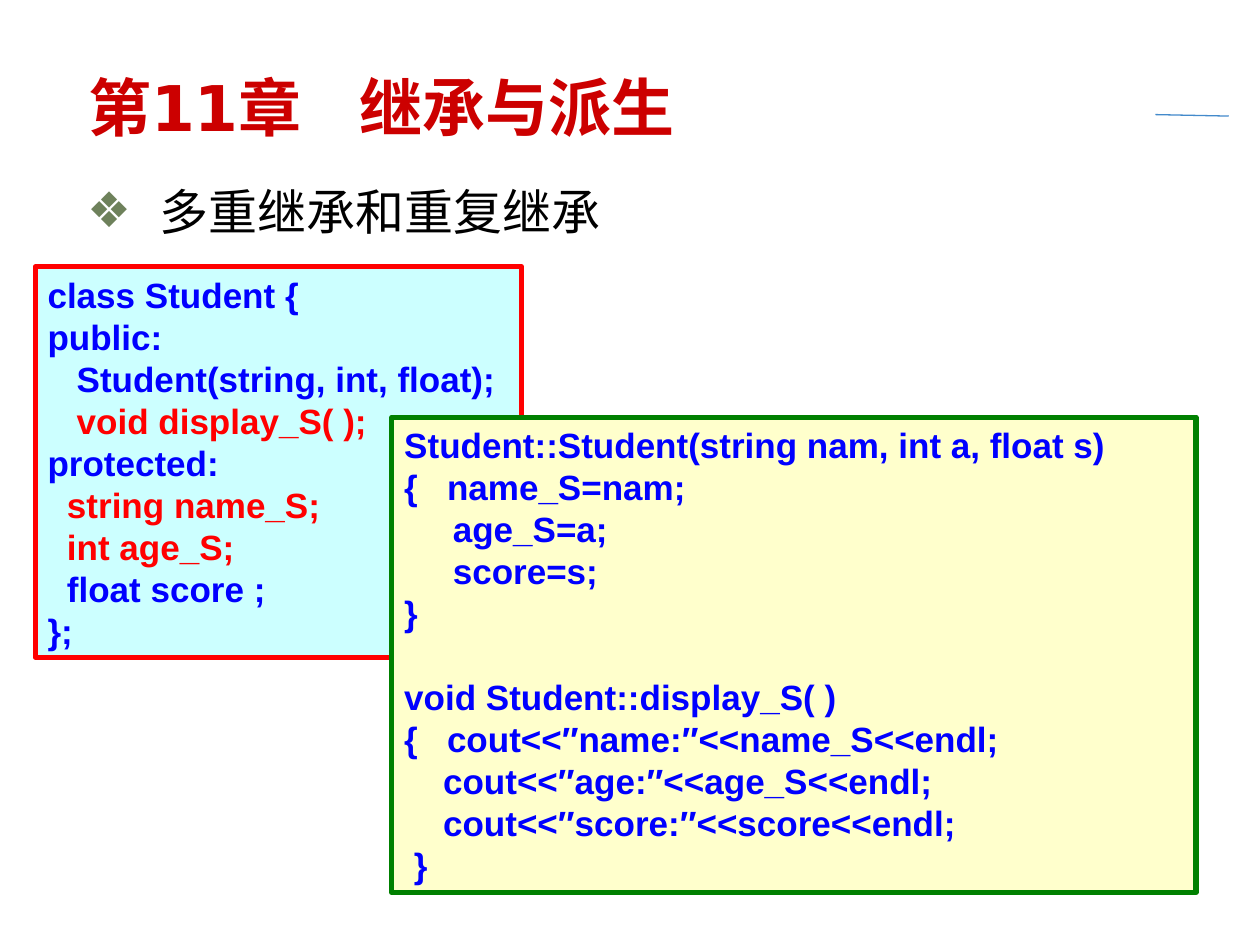
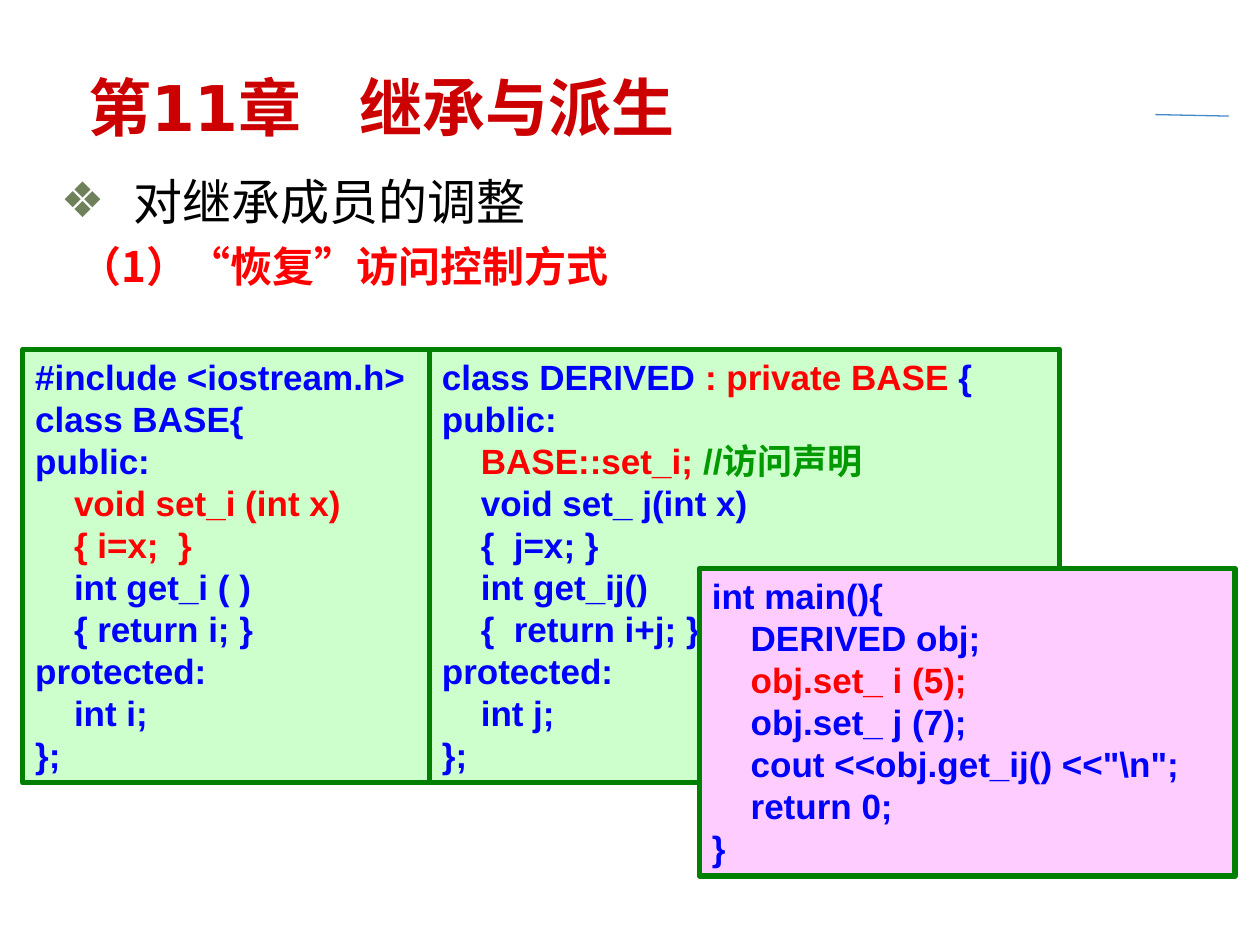
from lxml import etree
from pptx import Presentation
from pptx import util as u
from pptx.dml.color import RGBColor
from pptx.enum import shapes, text
from pptx.oxml.ns import qn

C = {"title": "CC0000", "rule": "438ACB", "bullet": "6E815B", "black": "000000",
     "code": "0000FF", "red": "FF0000", "comment": "009900", "green": "008000",
     "cyan": "CCFFFF", "yellow": "FFFFCC", "mint": "CCFFCC", "pink": "FFCCFF"}
CJK = "Noto Sans CJK SC"
BULLET_INDENT = u.Cm(1.47)
CODE_PITCH = u.Pt(24)


def add_run(p, tx, size, font, color, bold=False):
    r = p.add_run()
    r.text = tx
    r.font.size, r.font.name, r.font.bold = u.Pt(size), font, bold
    r.font.color.rgb = RGBColor.from_string(C[color])
    etree.SubElement(r.font._element, qn("a:ea"), typeface=CJK)


def place(sp, left, top, width, height):
    sp.left, sp.top, sp.width, sp.height = map(u.Cm, (left, top, width, height))


# Code listings: a line is a string, or a list of (text, colour) pieces;
# an empty string opens a gap above the next line
student_class = [
    "class Student {",
    "public:",
    "   Student(string, int, float);",
    [("   void display_S( );", "red")],
    "protected:",
    [("  string name_S;", "red")],
    [("  int age_S;", "red")],
    "  float score ;",
    "};",
]
student_members = [
    "Student::Student(string nam, int a, float s)",
    "{   name_S=nam;",
    "     age_S=a;",
    "     score=s;",
    "}",
    "",
    "void Student::display_S( )",
    "{   cout<<″name:″<<name_S<<endl;",
    "    cout<<″age:″<<age_S<<endl;",
    "    cout<<″score:″<<score<<endl;",
    " }",
]
base_class = [
    "#include <iostream.h>",
    "class BASE{",
    "public:",
    [("    void set_i (int x)", "red")],
    [("    { i=x;  }", "red")],
    "    int get_i ( )",
    "    { return i; }",
    "protected:",
    "    int i;",
    "};",
]
derived_class = [
    [("class DERIVED ", "code"), (": private BASE ", "red"), ("{", "code")],
    "public:",
    [("    BASE::set_i; ", "red"), ("//访问声明", "comment")],
    "    void set_ j(int x)",
    "    {  j=x; }",
    "    int get_ij()",
    "    {  return i+j; }",
    "protected:",
    "    int j;",
    "};",
]
main_function = [
    "int main(){",
    "    DERIVED obj;",
    [("    obj.set_ i (5);", "red")],
    "    obj.set_ j (7);",
    '    cout <<obj.get_ij() <<"\\n";',
    "    return 0;",
    "}",
]

# Slides: topic, subtopic, body position, code boxes (position, fill, line, listing)
slides = [
    ("多重继承和重复继承", None, (1.5, 3.53, 23.22, 14.6), [
        ((0.71, 5.38, 9.8, 7.87), "cyan", "red", student_class),
        ((7.9, 8.41, 16.21, 9.58), "yellow", "green", student_members)]),
    ("对继承成员的调整", "（1）“恢复”访问控制方式", (0.97, 3.33, 23.22, 13.61), [
        ((0.46, 7.04, 8.2, 8.74), "mint", "green", base_class),
        ((8.66, 7.04, 12.7, 8.74), "mint", "green", derived_class),
        ((14.1, 11.46, 10.8, 6.2), "pink", "green", main_function)]),
]

prs = Presentation()
prs.slide_width, prs.slide_height = u.Cm(25.4), u.Cm(19.05)

for topic, subtopic, body_at, boxes in slides:
    s = prs.slides.add_slide(prs.slide_layouts[1])

    # Short rule at the top right
    ln = s.shapes.add_connector(shapes.MSO_CONNECTOR.STRAIGHT,
                                u.Cm(23.29), u.Cm(2.31), u.Cm(24.77), u.Cm(2.34))
    ln.line.color.rgb = RGBColor.from_string(C["rule"])
    ln.line.width = u.Pt(0.75)
    etree.SubElement(ln._element.spPr, qn("a:effectLst"))

    # Title, with a tab between chapter number and name
    place(s.shapes.title, 1.52, 1.35, 21.56, 1.57)
    tf = s.shapes.title.text_frame
    tf.auto_size = text.MSO_AUTO_SIZE.NONE
    tf.vertical_anchor = text.MSO_ANCHOR.MIDDLE
    p = tf.paragraphs[0]
    tabs = etree.SubElement(p._p.get_or_add_pPr(), qn("a:tabLst"))
    etree.SubElement(tabs, qn("a:tab"), pos=str(u.Cm(5.48)), algn="l")
    p.alignment = text.PP_ALIGN.LEFT
    add_run(p, "第11章\t继承与派生", 36, "DejaVu Sans", "title", True)

    # Topic with its bullet
    body = s.placeholders[1]
    place(body, *body_at)
    tf = body.text_frame
    tf.auto_size = text.MSO_AUTO_SIZE.NONE
    p = tf.paragraphs[0]
    pPr = p._p.get_or_add_pPr()
    pPr.set("marL", str(BULLET_INDENT))
    pPr.set("indent", str(-BULLET_INDENT))
    clr = etree.SubElement(pPr, qn("a:buClr"))
    etree.SubElement(clr, qn("a:srgbClr"), val=C["bullet"])
    etree.SubElement(pPr, qn("a:buFont"), typeface="DejaVu Sans")
    etree.SubElement(pPr, qn("a:buChar"), char="❖")
    p.space_before = u.Pt(0)
    add_run(p, topic, 28, "DejaVu Sans", "black")

    # Subtopic without bullet
    if subtopic:
        p = tf.add_paragraph()
        pPr = p._p.get_or_add_pPr()
        pPr.set("marL", str(u.Cm(0.38)))
        pPr.set("indent", "0")
        etree.SubElement(pPr, qn("a:buNone"))
        p.space_before = u.Pt(6)
        add_run(p, subtopic, 24, CJK, "red", True)

    # Code boxes
    for at, fill, line, listing in boxes:
        sp = s.shapes.add_shape(shapes.MSO_SHAPE.RECTANGLE, *map(u.Cm, at))
        sp.shadow.inherit = False
        sp.fill.solid()
        sp.fill.fore_color.rgb = RGBColor.from_string(C[fill])
        sp.line.color.rgb = RGBColor.from_string(C[line])
        sp.line.width = u.Pt(3)
        tf = sp.text_frame
        tf.word_wrap = True
        tf.auto_size = text.MSO_AUTO_SIZE.SHAPE_TO_FIT_TEXT
        tf.vertical_anchor = text.MSO_ANCHOR.TOP
        for i, code in enumerate(listing):
            if not code:
                continue
            p = tf.add_paragraph() if i else tf.paragraphs[0]
            p.alignment = text.PP_ALIGN.LEFT
            p.line_spacing = CODE_PITCH
            if i and not listing[i - 1]:
                p.space_before = CODE_PITCH
            pieces = [(code, "code")] if isinstance(code, str) else code
            for tx, color in pieces:
                add_run(p, tx, 20, "Arial", color, True)

prs.save("out.pptx")
